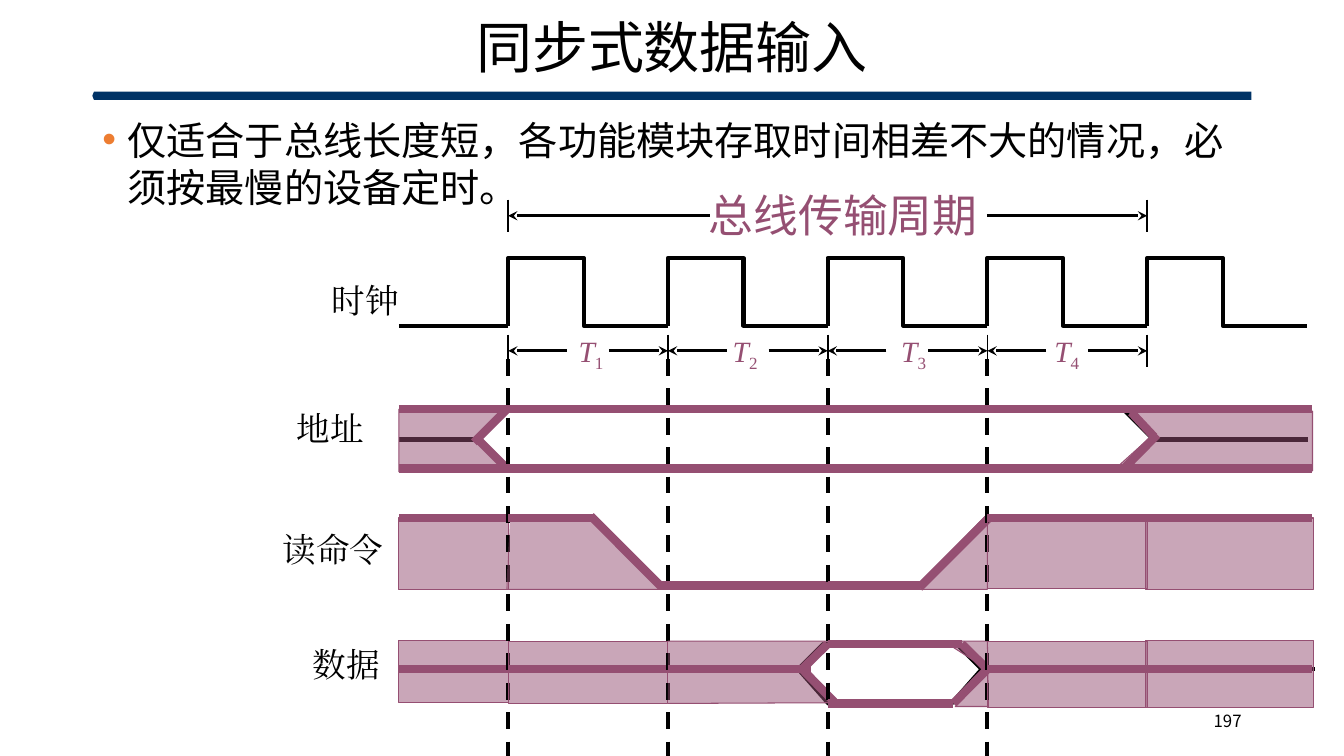
from lxml import etree
from pptx import Presentation
from pptx import util as u
from pptx.dml.color import RGBColor
from pptx.enum import dml, shapes, text
from pptx.oxml.ns import qn

COLORS = {"black": "000000", "plum": "954F72", "navy": "003366", "orange": "ED7D31"}
SANS, SERIF = "Noto Sans CJK SC", "Times New Roman"

PERIOD = 114.1
EDGES = [363 + PERIOD * i for i in range(5)]  # rising clock edges
LEFT, RIGHT = 285, 937.5
BOUNDS = [LEFT, *EDGES, RIGHT]


def rgb(name):
    return RGBColor.from_string(COLORS[name])


class TimingSlide:
    """Holds the style and the slide being drawn."""

    def __init__(self, presentation):
        self.slide = presentation.slides.add_slide(presentation.slide_layouts[6])
        self.shapes = self.slide.shapes

    def label(self, box, runs, size, font=SANS, color="black", align="LEFT",
              anchor="TOP", insets=(7.2, 3.6, 7.2, 3.6), wrap=True, spacing=None,
              bullet=None):
        shape = self.shapes.add_textbox(*map(u.Pt, box))
        frame = shape.text_frame
        frame.word_wrap = wrap
        frame.vertical_anchor = text.MSO_ANCHOR[anchor]
        (frame.margin_left, frame.margin_top,
         frame.margin_right, frame.margin_bottom) = map(u.Pt, insets)
        paragraph = frame.paragraphs[0]
        paragraph.alignment = text.PP_ALIGN[align]
        if spacing:
            paragraph.line_spacing = spacing
        if bullet:
            self.bullet(paragraph, bullet)
        paragraph.font.size = u.Pt(size)
        paragraph.font.name = font
        paragraph.font.color.rgb = rgb(color)
        defaults = paragraph._p.pPr.find(qn("a:defRPr"))
        etree.SubElement(defaults, qn("a:ea")).set("typeface", font)
        for words in runs:
            paragraph.add_run().text = words
        return paragraph

    def bullet(self, paragraph, color):
        properties = paragraph._p.get_or_add_pPr()
        properties.set("marL", str(u.Pt(18)))
        properties.set("indent", str(-u.Pt(18)))
        bullet_color = etree.SubElement(properties, qn("a:buClr"))
        etree.SubElement(bullet_color, qn("a:srgbClr")).set("val", COLORS[color])
        etree.SubElement(properties, qn("a:buFont")).set("typeface", "Arial")
        etree.SubElement(properties, qn("a:buChar")).set("char", "•")

    def period_label(self, x, number):
        paragraph = self.label((x, 237.6, 27.4, 24.5), ["T", number], 21, SERIF, "plum",
                               insets=(0, 0, 0, 0), wrap=False)
        letter, subscript = paragraph.runs
        letter.font.italic = True
        subscript._r.get_or_add_rPr().set("baseline", "-25000")

    def line(self, x1, y1, x2, y2, width=3, color="black", dashed=False, arrow=False):
        shape = self.shapes.add_connector(
            shapes.MSO_CONNECTOR.STRAIGHT, *map(u.Pt, (x1, y1, x2, y2)))
        shape.line.width = u.Pt(width)
        shape.line.color.rgb = rgb(color)
        if dashed:
            shape.line.dash_style = dml.MSO_LINE.DASH
        if arrow:
            tail = etree.SubElement(shape.line._get_or_add_ln(), qn("a:tailEnd"))
            tail.set("type", "stealth")
        etree.SubElement(shape._element.spPr, qn("a:effectLst"))

    def outline(self, points, width=3, close=False):
        (x, y), *rest = [(u.Pt(px), u.Pt(py)) for px, py in points]
        builder = self.shapes.build_freeform(x, y)
        builder.add_line_segments(rest, close=close)
        shape = builder.convert_to_shape()
        shape.shadow.inherit = False
        shape.fill.background()
        shape.line.width = u.Pt(width)
        shape.line.color.rgb = rgb("black")
        return shape

    def shade(self, area):
        """Half-transparent area: (x, y, width, height) or a list of points."""
        if isinstance(area, list):
            shape = self.outline(area)
        else:
            shape = self.shapes.add_shape(shapes.MSO_SHAPE.RECTANGLE, *map(u.Pt, area))
            shape.shadow.inherit = False
        shape.fill.solid()
        shape.fill.fore_color.rgb = rgb("plum")
        fill_color = shape._element.spPr.find(qn("a:solidFill"))[0]
        etree.SubElement(fill_color, qn("a:alpha")).set("val", "50000")
        shape.line.width = u.Pt(0.75)
        shape.line.color.rgb = rgb("plum")

    def rule(self, box):
        shape = self.shapes.add_shape(shapes.MSO_SHAPE.PENTAGON, *map(u.Pt, box))
        shape.shadow.inherit = False
        shape.adjustments[0] = 0.2
        shape._element.spPr.xfrm.set("flipH", "1")
        shape.fill.solid()
        shape.fill.fore_color.rgb = rgb("navy")
        shape.line.fill.background()


def draw_text(slide):
    slide.rule((66, 65.5, 828, 5.8))
    slide.label((66, 79.2, 828, 421.8),
                ["仅适合于总线长度短，各功能模块存取时间相差不大的情况，必须按最慢的设备定时。"],
                28, "Noto Sans CJK JP", bullet="orange")
    slide.label((66, 12.2, 828, 47.5), ["同步式数据输入"], 40, align="CENTER",
                anchor="MIDDLE", spacing=0.9)
    slide.label((678, 500.5, 216, 28.8), ["197"], 12, align="RIGHT", anchor="MIDDLE")
    for words, x, y in (("时钟", 237, 196.6), ("地址", 212, 288),
                        ("读命令", 202, 374.4), ("数据", 223.5, 456.5)):
        slide.label((x, y, 90, 36), [words], 24, SERIF, insets=(0, 3.6, 7.2, 3.6))
    slide.label((506.2, 133.9, 193.7, 38.9), ["总线传输周期"], 32, color="plum",
                insets=(0, 0, 0, 0), wrap=False)


def draw_clock(slide):
    high, low = 184.3, 232.6
    slide.line(LEFT, low, EDGES[0], low)
    for x in EDGES:
        slide.outline([(x, low), (x, high), (x + 54, high), (x + 54, low),
                       (x + PERIOD, low)])
        slide.line(x, 239, x, 262, 1.25)
    # Bus cycle span
    for edge, inner in ((EDGES[0], 507), (EDGES[-1], 705)):
        slide.line(edge, 142.6, edge, 165.6, 1.25)
        slide.line(inner, 154.1, edge, 154.1, 2.25, arrow=True)
    # Single periods
    for number, (x, label_x) in enumerate(zip(EDGES, (413.3, 523.4, 643.7, 753.1)), 1):
        slide.line(x + 42, 250.6, x, 250.6, 2.25, arrow=True)
        slide.line(x + 72, 250.6, x + PERIOD, 250.6, 2.25, arrow=True)
        slide.period_label(label_x, str(number))


def draw_signals(slide):
    top, middle, bottom = 292.3, 313.9, 334.6  # address
    high, low = 370, 418.3  # read command
    upper, center, lower = 460, 478, 502.5  # data
    e1, e2, e3, e4, e5 = EDGES

    # Thin black traces
    slide.outline([(e1, top), (341.3, middle), (e1, bottom), (802, bottom),
                   (823.7, middle), (802, top)], 2.5, close=True)
    slide.line(LEFT, middle, 345, middle)
    slide.line(825, middle, 934, middle)
    slide.line(702, center, 939, center)
    slide.outline([(570.2, center), (588.2, upper), (683.3, upper), (701.3, center),
                   (679.7, lower), (591.8, lower)], close=True)

    # Shaded areas and thick traces of each clock period
    columns = [
        ([[(342, 317), (358, top), (LEFT, top), (LEFT, 337), (362, 337)],
          (LEFT, high, 78, 51), (LEFT, 457.3, 78, 44.5)],
         [(LEFT, high, e1, high), (LEFT, center, e1, center),
          (e1, 335.5, 340, 312.5), (361.5, 293, 338.5, 316)]),
        ([[(361.5, 421), (473, 421), (424, 371), (364.3, 372)],
          (e1, 458, PERIOD, 44.5)],
         [(e1, high, 423.5, high), (e1, center, e2, center),
          (472.3, 419, 422, 368.6)]),
        ([[(e2, 458), (592.6, 458), (573, center), (592.6, 502), (e2, 502.5)]],
         [(e2, center, 579, center), (471, low, 594.7, low),
          (573, center, e3, upper), (573, center, 597, lower)]),
        ([[(653, 421), (e4, 421), (e4, 367.2), (653, 421)],
          [(e4, center), (674, 458), (e4, 458), (706, 504.7), (682, 504.7)]],
         [(e3, low, 657.4, low), (707, 369.4, 656.6, 419.8),
          (e3, upper, 687, upper), (e3, lower, 681, lower),
          (681, lower, e4, center), (687, upper, e4, center)]),
        ([(e4, high, PERIOD, 50.5), (e4, 458, PERIOD, 47.5)],
         [(e4, high, e5, high), (e4, center, e5, center),
          (826.6, 310.5, 803.5, 334), (824.4, 312, 808, 294.5)]),
        ([[(805.7, top), (RIGHT, 293.8), (RIGHT, 336.3), (795, 336.3), (823.7, 310.5)],
          (818, high, 120, 51), (818, 457.3, 120, 48.2)],
         [(e5, high, RIGHT, high), (e5, center, RIGHT, center)]),
    ]
    for (areas, traces), start, end in zip(columns, BOUNDS, BOUNDS[1:]):
        for area in areas:
            slide.shade(area)
        rails = [(start, y, end, y) for y in (top, bottom)]
        for trace in rails + traces:
            slide.line(*trace, 6, "plum")
        if end != RIGHT and end != e5:
            slide.line(end, 256.3, end, 540, dashed=True)


def main():
    presentation = Presentation()
    presentation.slide_width, presentation.slide_height = u.Pt(960), u.Pt(540)
    slide = TimingSlide(presentation)
    draw_text(slide)
    draw_clock(slide)
    draw_signals(slide)
    presentation.save("out.pptx")


if __name__ == "__main__":
    main()
